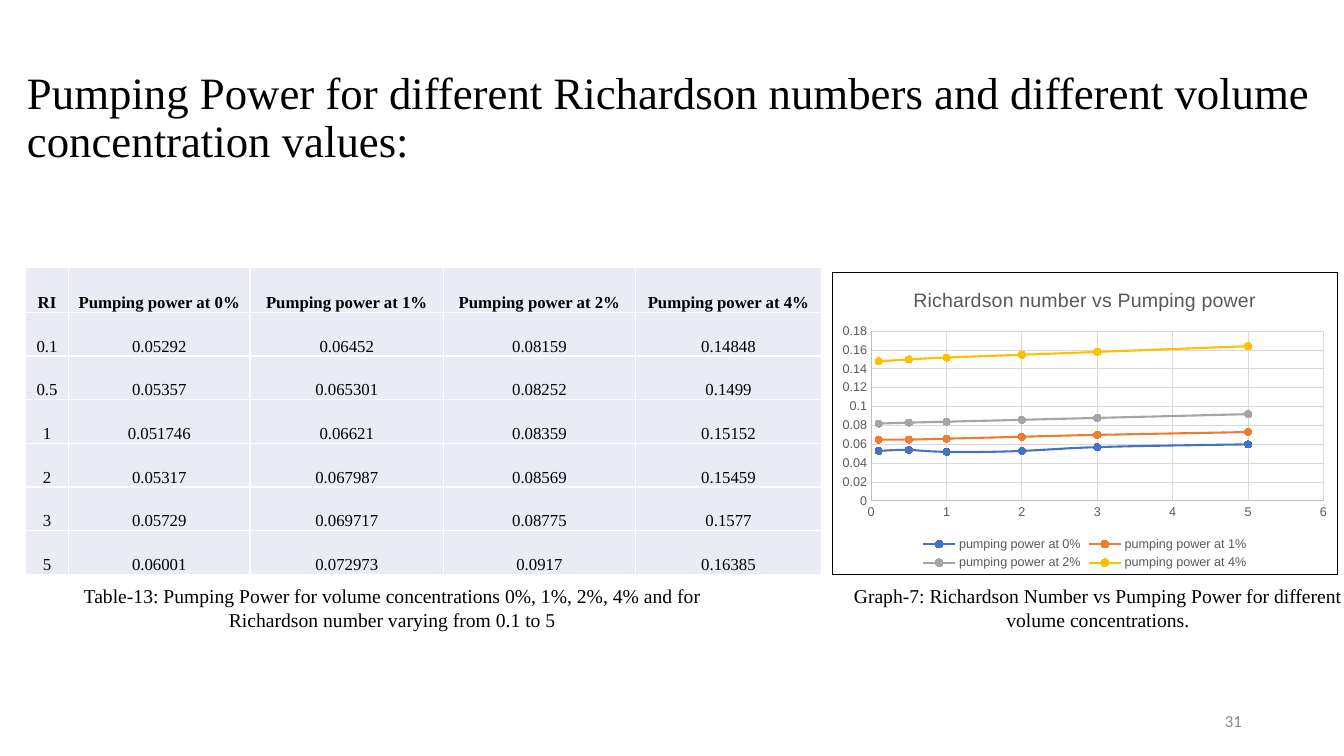
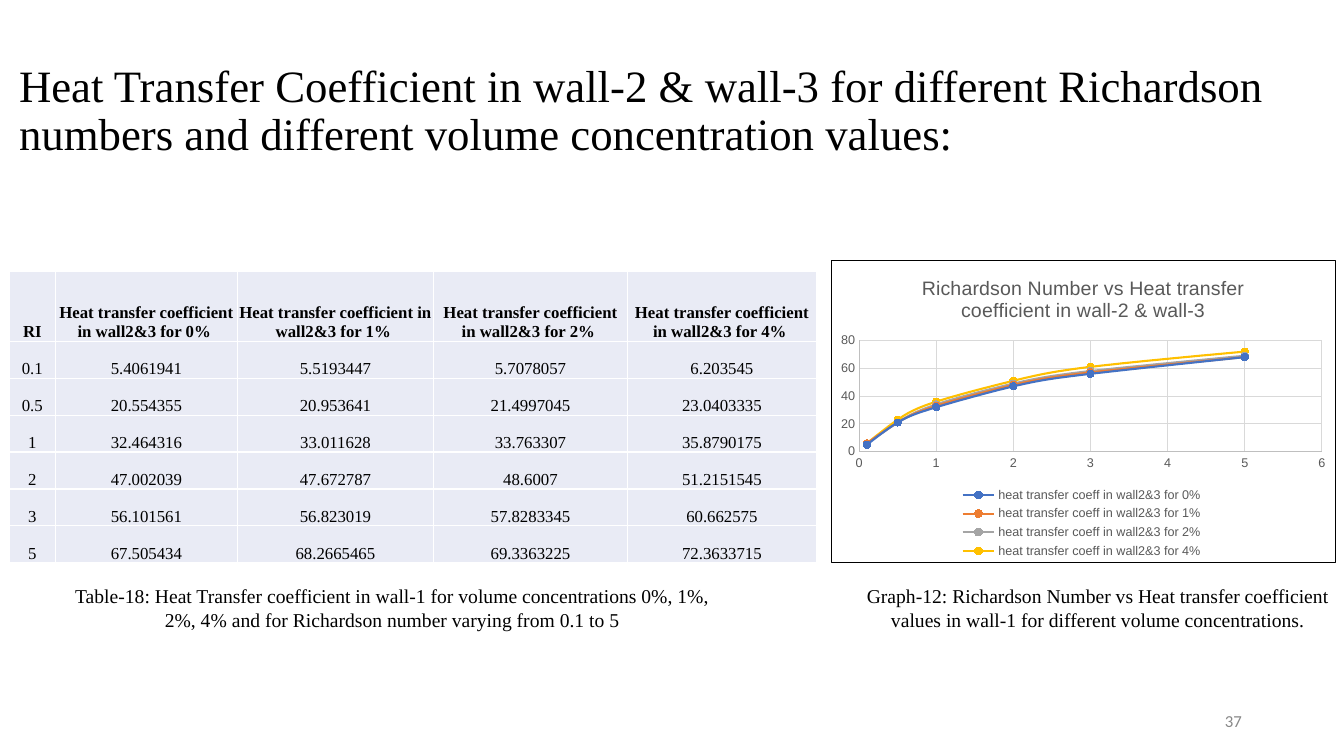
from lxml import etree
from pptx import Presentation
from pptx.chart.data import XyChartData
from pptx.dml.color import RGBColor
from pptx.enum.chart import XL_CHART_TYPE as CT, XL_LEGEND_POSITION as LP
from pptx.enum.chart import XL_MARKER_STYLE as MS, XL_TICK_MARK as TM
from pptx.enum.text import MSO_ANCHOR as ANCHOR, MSO_AUTO_SIZE as FIT, PP_ALIGN as AL
from pptx.oxml import parse_xml
from pptx.oxml.ns import nsdecls, qn
from pptx.util import Cm, Pt

SERIF, SANS, NUMBER_FONT = "Times New Roman", "Arial", "Calibri"
BLACK, WHITE, CELL = "000000", "FFFFFF", "E9EBF5"
CHART_TEXT, AXIS, GRID, PAGE = "595959", "BFBFBF", "D9D9D9", "888888"
SERIES_COLORS = ["4472C4", "ED7D31", "A5A5A5", "FFC000"]

CONCENTRATIONS = ["0%", "1%", "2%", "4%"]
RICHARDSON = [0.1, 0.5, 1, 2, 3, 5]

# Boxes are left, top, width, height in cm; values have one row per Richardson number
SLIDES = [
    dict(
        title="Pumping Power for different Richardson numbers and different "
              "volume concentration values:",
        title_box=(0.43, 2.08, 33.22, 3.2),
        page="31",
        header="Pumping power at {}",
        values=[
            (0.05292, 0.06452, 0.08159, 0.14848),
            (0.05357, 0.065301, 0.08252, 0.1499),
            (0.051746, 0.06621, 0.08359, 0.15152),
            (0.05317, 0.067987, 0.08569, 0.15459),
            (0.05729, 0.069717, 0.08775, 0.1577),
            (0.06001, 0.072973, 0.0917, 0.16385),
        ],
        table_at=(0.64, 6.75),
        columns=(1.09, 4.57, 4.88, 4.83, 4.7),
        header_height=1.12,
        row_height=1.1,
        chart_title="Richardson number vs Pumping power",
        series="pumping power at {}",
        chart_digits=3,
        chart_box=(20.97, 6.86, 12.74, 7.62),
        table_caption="Table-13: Pumping Power for volume concentrations 0%, 1%, 2%, 4% "
                      "and for Richardson number varying from 0.1 to 5",
        chart_caption="Graph-7: Richardson Number vs Pumping Power for different "
                      "volume concentrations.",
    ),
    dict(
        title="Heat Transfer Coefficient in wall-2 & wall-3 for different Richardson "
              "numbers and different volume concentration values:",
        title_box=(0.23, 2.11, 34.32, 2.79),
        page="37",
        header="Heat transfer coefficient in wall2&3 for {} ",
        values=[
            (5.4061941, 5.5193447, 5.7078057, 6.203545),
            (20.554355, 20.953641, 21.4997045, 23.0403335),
            (32.464316, 33.011628, 33.763307, 35.8790175),
            (47.002039, 47.672787, 48.6007, 51.2151545),
            (56.101561, 56.823019, 57.8283345, 60.662575),
            (67.505434, 68.2665465, 69.3363225, 72.3633715),
        ],
        table_at=(0.23, 6.85),
        columns=(1.17, 4.58, 4.95, 4.88, 4.77),
        header_height=1.75,
        row_height=0.93,
        chart_title="Richardson Number vs Heat transfer coefficient in wall-2 & wall-3",
        series="heat transfer coeff in wall2&3 for {} ",
        chart_digits=0,
        chart_box=(20.93, 6.54, 12.74, 7.64),
        table_caption="Table-18: Heat Transfer coefficient in wall-1 for volume concentrations "
                      "0%, 1%, 2%, 4% and for Richardson number varying from 0.1 to 5",
        chart_caption="Graph-12: Richardson Number vs Heat transfer coefficient values in "
                      "wall-1 for different volume concentrations.",
    ),
]

TABLE_CAPTION_BOX = (1.42, 14.59, 16.94, 1.45)
CHART_CAPTION_BOX = (21.17, 14.59, 13, 1.45)
PAGE_BOX = (23.93, 17.65, 7.62, 1.02)


def rgb(color):
    return RGBColor.from_string(color)


def style_font(font, name, size, color, bold=False):
    font.name, font.size, font.bold = name, Pt(size), bold
    font.color.rgb = rgb(color)


def style_line(line, color, width=0.75):
    line.color.rgb = rgb(color)
    line.width = Pt(width)


def add_text(slide, box, text, size, name=SERIF, color=BLACK, align=AL.LEFT,
             anchor=ANCHOR.MIDDLE):
    tf = slide.shapes.add_textbox(*map(Cm, box)).text_frame
    tf.word_wrap = True
    tf.vertical_anchor = anchor
    tf.text = text
    p = tf.paragraphs[0]
    p.alignment = align
    style_font(p.runs[0].font, name, size, color)
    return tf


def add_title(slide, box, text):
    tf = add_text(slide, box, text, 32)
    tf.paragraphs[0].line_spacing = 0.9
    tf.margin_bottom = Cm(1.5)  # lifts the two lines above the middle of the box


def add_caption(slide, box, text):
    tf = add_text(slide, box, text, 14, align=AL.CENTER, anchor=ANCHOR.TOP)
    tf.auto_size = FIT.SHAPE_TO_FIT_TEXT


def fill_cell(cell, text, bold):
    cell.text = text
    cell.vertical_anchor = ANCHOR.BOTTOM
    cell.margin_left = cell.margin_right = cell.margin_top = Cm(0.02)
    cell.margin_bottom = 0
    p = cell.text_frame.paragraphs[0]
    p.alignment = AL.CENTER
    style_font(p.runs[0].font, SERIF, 12, BLACK, bold)
    cell.fill.solid()
    cell.fill.fore_color.rgb = rgb(CELL)
    tcPr = cell._tc.get_or_add_tcPr()
    for i, side in enumerate(("lnL", "lnR", "lnT", "lnB")):
        ln = etree.Element(qn("a:" + side), w=str(Pt(1)))
        fill = etree.SubElement(ln, qn("a:solidFill"))
        etree.SubElement(fill, qn("a:srgbClr"), val=WHITE)
        tcPr.insert(i, ln)


def add_data_table(slide, d):
    rows = [["RI"] + [d["header"].format(c) for c in CONCENTRATIONS]]
    rows += [[str(v) for v in (ri, *vals)] for ri, vals in zip(RICHARDSON, d["values"])]
    heights = [d["header_height"]] + [d["row_height"]] * len(RICHARDSON)
    size = sum(d["columns"]), sum(heights)
    table = slide.shapes.add_table(len(rows), len(rows[0]),
                                   *map(Cm, d["table_at"] + size)).table
    table.first_row = table.horz_banding = False
    for column, width in zip(table.columns, d["columns"]):
        column.width = Cm(width)
    for i, (row, height) in enumerate(zip(rows, heights)):
        table.rows[i].height = Cm(height)
        for j, text in enumerate(row):
            fill_cell(table.cell(i, j), text, bold=i == 0)


def frame_chart(chart):
    """Give the whole chart area a white fill and a thin black border."""
    chart._chartSpace.find(qn("c:chart")).addnext(parse_xml(
        f'<c:spPr {nsdecls("c", "a")}>'
        f'<a:solidFill><a:srgbClr val="{WHITE}"/></a:solidFill>'
        f'<a:ln w="{Pt(0.75)}"><a:solidFill><a:srgbClr val="{BLACK}"/></a:solidFill></a:ln>'
        '</c:spPr>'))


def add_scatter(slide, d):
    data = XyChartData()
    for concentration, vals in zip(CONCENTRATIONS, zip(*d["values"])):
        series = data.add_series(d["series"].format(concentration))
        for x, y in zip(RICHARDSON, vals):
            series.add_data_point(x, round(y, d["chart_digits"]))
    chart = slide.shapes.add_chart(CT.XY_SCATTER_SMOOTH, *map(Cm, d["chart_box"]), data).chart
    style_font(chart.font, SANS, 10, BLACK)
    frame_chart(chart)

    chart.has_title = True
    tf = chart.chart_title.text_frame
    tf.text = d["chart_title"]
    style_font(tf.paragraphs[0].runs[0].font, SANS, 14, CHART_TEXT)
    chart.chart_title.include_in_layout = False

    chart.has_legend = True
    chart.legend.position = LP.BOTTOM
    chart.legend.include_in_layout = False
    style_font(chart.legend.font, SANS, 9, CHART_TEXT)

    for axis in (chart.category_axis, chart.value_axis):
        axis.major_tick_mark = axis.minor_tick_mark = TM.NONE
        axis.has_major_gridlines = True
        style_line(axis.major_gridlines.format.line, GRID)
        style_line(axis.format.line, AXIS)
        style_font(axis.tick_labels.font, SANS, 9, CHART_TEXT)
        axis.tick_labels.number_format = "General"
        axis.tick_labels.number_format_is_linked = False

    plot = chart.plots[0]
    plot.vary_by_categories = False
    for series, color in zip(plot.series, SERIES_COLORS):
        style_line(series.format.line, color, 1.5)
        marker = series.marker
        marker.style, marker.size = MS.CIRCLE, 5
        marker.format.fill.solid()
        marker.format.fill.fore_color.rgb = rgb(color)
        style_line(marker.format.line, color)
    for smooth in chart._chartSpace.iter(qn("c:smooth")):
        smooth.set("val", "1")


def main():
    prs = Presentation()
    prs.slide_width, prs.slide_height = Cm(33.87), Cm(19.05)
    for d in SLIDES:
        s = prs.slides.add_slide(prs.slide_layouts[6])
        add_title(s, d["title_box"], d["title"])
        add_text(s, PAGE_BOX, d["page"], 12, NUMBER_FONT, PAGE, AL.RIGHT)
        add_data_table(s, d)
        add_scatter(s, d)
        add_caption(s, TABLE_CAPTION_BOX, d["table_caption"])
        add_caption(s, CHART_CAPTION_BOX, d["chart_caption"])
    prs.save("out.pptx")


if __name__ == "__main__":
    main()
